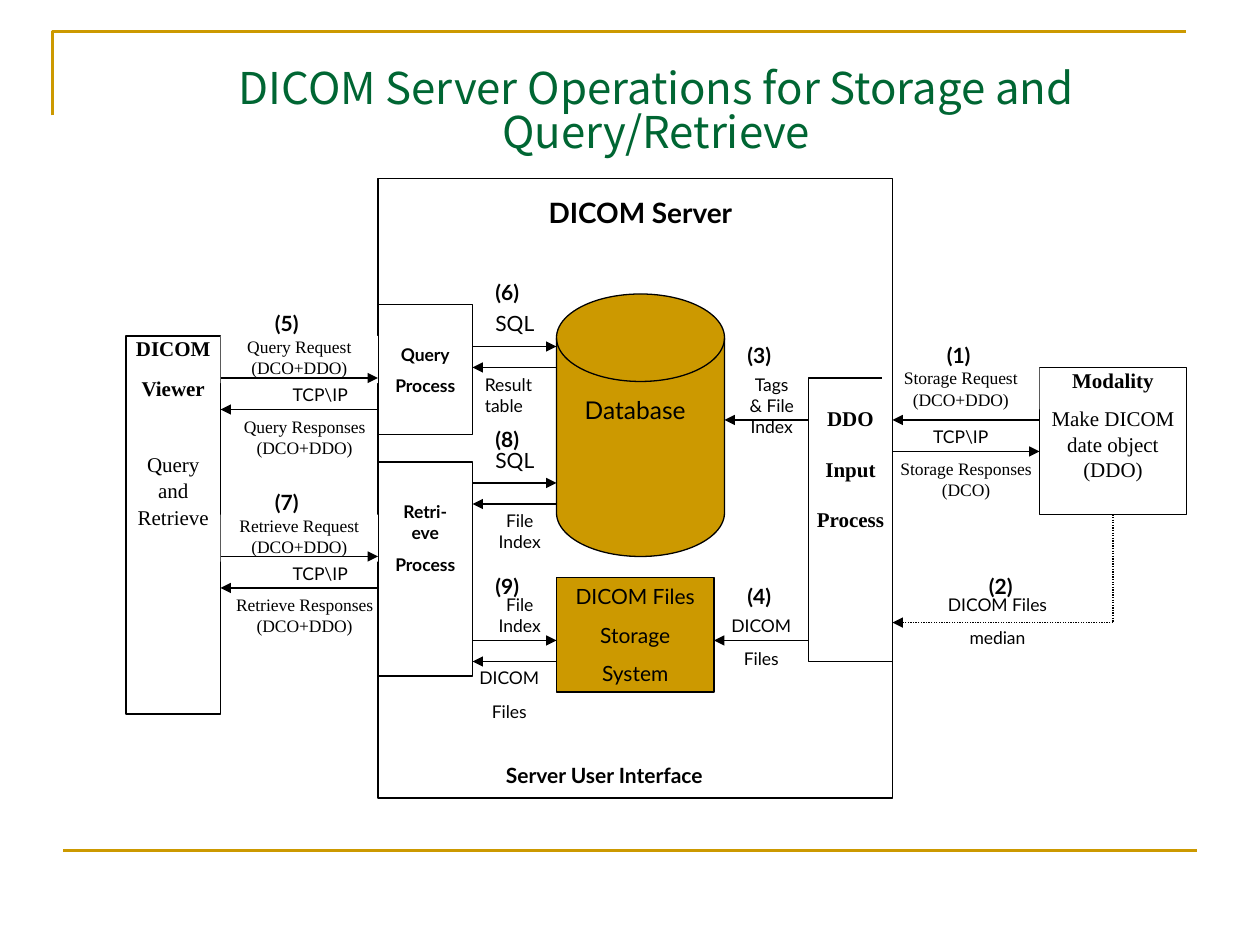
import pptx
import pptx.dml.color
import pptx.enum.dml
import pptx.enum.shapes
import pptx.enum.text
import pptx.oxml
import pptx.oxml.ns
import pptx.util

SHAPES = pptx.enum.shapes.MSO_SHAPE
CONNECTORS = pptx.enum.shapes.MSO_CONNECTOR
ALIGN = pptx.enum.text.PP_ALIGN
ANCHOR = pptx.enum.text.MSO_ANCHOR
COLUMNS, ROWS = 120, 90
GOLD, BLACK, WHITE, GREEN = "CC9900", "000000", "FFFFFF", "006633"
SANS, SERIF, TITLE_FONT = "Lato", "Times New Roman", "Noto Sans CJK SC"
PADDED = (0.1, 0.05, 0.1, 0.05)
FLUSH = (0, 0, 0, 0)


def grid(*units):
    """Turn grid units (a twelfth of an inch) into lengths."""
    return [pptx.util.Inches(unit / 12) for unit in units]


def color(hex_string):
    return pptx.dml.color.RGBColor.from_string(hex_string)


def write(shape, *paragraphs, size=10, font=SANS, ink=BLACK, bold=False,
          align=ALIGN.CENTER, anchor=ANCHOR.TOP, insets=PADDED, gap=0, spacing=None):
    """Fill a shape with paragraphs; gap is the space before each, in points."""
    frame = shape.text_frame
    frame.word_wrap = True
    frame.vertical_anchor = anchor
    (frame.margin_left, frame.margin_top,
     frame.margin_right, frame.margin_bottom) = map(pptx.util.Inches, insets)
    for index, text in enumerate(paragraphs):
        paragraph = frame.add_paragraph() if index else frame.paragraphs[0]
        paragraph.alignment = align
        paragraph.space_before = pptx.util.Pt(gap)
        if spacing:
            paragraph.line_spacing = spacing
        run = paragraph.add_run()
        run.text = text
        run.font.size = pptx.util.Pt(size)
        run.font.name = font
        run.font.bold = bold
        run.font.color.rgb = color(ink)
    return frame


def label(slide, box, *paragraphs, **text_format):
    return write(slide.shapes.add_textbox(*grid(*box)), *paragraphs, **text_format)


def paint(shape, fill=None, line=BLACK, width=0.75):
    shape.shadow.inherit = False
    if fill:
        shape.fill.solid()
        shape.fill.fore_color.rgb = color(fill)
    else:
        shape.fill.background()
    if line:
        shape.line.color.rgb = color(line)
        shape.line.width = pptx.util.Pt(width)
    else:
        shape.line.fill.background()


def block(slide, box, *paragraphs, kind=SHAPES.RECTANGLE, fill=None, line=BLACK, **text_format):
    shape = slide.shapes.add_shape(kind, *grid(*box))
    paint(shape, fill, line)
    write(shape, *paragraphs, **text_format)
    return shape


def connect(slide, start, end, kind=CONNECTORS.STRAIGHT, ink=BLACK, width=0.75, arrow=True):
    connector = slide.shapes.add_connector(kind, *grid(*start, *end))
    connector.line.color.rgb = color(ink)
    connector.line.width = pptx.util.Pt(width)
    if arrow:
        tail = pptx.oxml.parse_xml(
            '<a:tailEnd %s type="triangle"/>' % pptx.oxml.ns.nsdecls("a"))
        connector.line._get_or_add_ln().append(tail)
    effects = pptx.oxml.parse_xml('<a:effectLst %s/>' % pptx.oxml.ns.nsdecls("a"))
    connector._element.spPr.append(effects)
    return connector


def dotted_elbow(slide, start, end):
    """Arrow that goes down from start and then left to end."""
    center_x, center_y = (start[0] + end[0]) / 2, (start[1] + end[1]) / 2
    half_width, half_height = (end[1] - start[1]) / 2, (start[0] - end[0]) / 2
    elbow = connect(slide, (center_x - half_width, center_y - half_height),
                    (center_x + half_width, center_y + half_height), CONNECTORS.ELBOW)
    elbow.line.dash_style = pptx.enum.dml.MSO_LINE.ROUND_DOT
    properties = elbow._element.spPr
    properties.find(pptx.oxml.ns.qn("a:xfrm")).set("rot", "5400000")
    properties.find(pptx.oxml.ns.qn("a:prstGeom")).set("prst", "bentConnector2")


def frame_rules(slide):
    builder = slide.shapes.build_freeform(*grid(5, 11))
    builder.add_line_segments([grid(5, 3), grid(113, 3)], close=False)
    paint(builder.convert_to_shape(), line=GOLD, width=1.5)
    connect(slide, (6, 81), (114, 81), ink=GOLD, width=1.5, arrow=False)


def storage_side(slide):
    block(slide, (77, 36, 8, 27), "DDO", "Input", "Process", fill=WHITE, size=12,
          font=SERIF, bold=True, insets=(0, 0.22, 0, 0), gap=14.5)
    modality = block(slide, (99, 35, 14, 14), "Modality", "Make DICOM date object (DDO)",
                     fill=WHITE, size=12, font=SERIF, insets=FLUSH, gap=7.5)
    modality.text_frame.paragraphs[0].runs[0].font.bold = True
    connect(slide, (99, 40), (85, 40))
    block(slide, (84, 35, 15, 4), "Storage Request (DCO+DDO)", fill=WHITE, line=None,
          font=SERIF, insets=FLUSH)
    connect(slide, (85, 43), (99, 43), width=1)
    label(slide, (84, 43, 16, 5.3), "Storage Responses", "(DCO)", font=SERIF)
    label(slide, (85, 40, 13, 3.2), "TCP\\IP")
    label(slide, (86, 55, 18, 7.7), "DICOM Files median",
          insets=(0.25, 0.03, 0.25, 0.05), spacing=pptx.util.Pt(19.2))
    dotted_elbow(slide, (106, 49), (85, 59.3))
    connect(slide, (77, 40), (69, 40))
    connect(slide, (77, 61), (68, 61))


def server(slide):
    block(slide, (53, 28, 16, 25), kind=SHAPES.FLOWCHART_MAGNETIC_DISK, fill=GOLD)
    label(slide, (54, 37, 13, 6.8), "Database", size=14)
    block(slide, (36, 17, 49, 59))
    label(slide, (45, 18, 32, 4.4), "DICOM Server", size=16, bold=True)
    label(slide, (47, 72, 27, 3.6), "Server User Interface", size=12, bold=True,
          align=ALIGN.LEFT)
    block(slide, (53, 55, 15, 10.9), "DICOM Files", "Storage", "System",
          fill=GOLD, size=12, gap=7.5)
    process_format = dict(bold=True, insets=(0.1, 0.31, 0.1, 0.05), gap=6.2)
    block(slide, (36, 29, 9, 12.4), "Query", "Process", **process_format)
    block(slide, (36, 44, 9, 20.4), "Retri-eve", "Process", **process_format)
    for request_row, answer_row in ((33, 35), (46, 48), (61, 63)):
        connect(slide, (45, request_row), (53, request_row))
        connect(slide, (53, answer_row), (45, answer_row))
    for row in (29, 42):
        label(slide, (46, row, 7, 3.6), "SQL", size=12, align=ALIGN.LEFT)
    label(slide, (45, 35, 7, 7.2), "Result table", align=ALIGN.LEFT)
    label(slide, (70, 35, 7, 7.2), "Tags & File Index")
    for row in (48, 56):
        label(slide, (45, row, 9, 5.3), "File Index")
    for column, row in ((68, 57), (44, 62)):
        label(slide, (column, row, 9, 7.7), "DICOM Files",
              insets=(0.1, 0.03, 0.1, 0.05), spacing=pptx.util.Pt(19.2))


def viewer_side(slide):
    viewer = block(slide, (12, 32, 9, 36), "DICOM", "Viewer", "Query", "and", "Retrieve",
                   fill=WHITE, size=12, font=SERIF, insets=FLUSH)
    paragraphs = viewer.text_frame.paragraphs
    for paragraph in paragraphs[:2]:
        paragraph.runs[0].font.bold = True
    for paragraph, gap in zip(paragraphs, (0, 8, 29, 1, 1)):
        paragraph.space_before = pptx.util.Pt(gap)
    for name, row in (("Query", 32), ("Retrieve", 49)):
        block(slide, (21, row, 15, 4.5), f"{name} Request (DCO+DDO)", fill=WHITE, line=None,
              font=SERIF, insets=FLUSH)
        connect(slide, (21, row + 4), (36, row + 4), width=1)
        connect(slide, (36, row + 7), (21, row + 7))
        label(slide, (21, row + 7, 16, 5.3), f"{name} Responses", "(DCO+DDO)", font=SERIF)
        label(slide, (24, row + 4, 13, 3.2), "TCP\\IP")


def step_numbers(slide):
    places = [(89, 32), (93, 54), (70, 32), (70, 55), (25, 29),
              (46, 26), (25, 46), (46, 40), (46, 54)]
    for number, (column, row) in enumerate(places, 1):
        label(slide, (column, row, 6, 3.6), f"({number})", size=12, bold=True,
              align=ALIGN.LEFT)


def main():
    presentation = pptx.Presentation()
    presentation.slide_width, presentation.slide_height = grid(COLUMNS, ROWS)
    slide = presentation.slides.add_slide(presentation.slide_layouts[6])
    frame_rules(slide)
    label(slide, (11, 6, 103, 9), "DICOM Server Operations for Storage and Query/Retrieve",
          size=25, font=TITLE_FONT, ink=GREEN, anchor=ANCHOR.BOTTOM,
          insets=(0.1, 0.05, 0.1, 0), spacing=0.84)
    storage_side(slide)
    server(slide)
    viewer_side(slide)
    step_numbers(slide)
    presentation.save("out.pptx")


if __name__ == "__main__":
    main()
